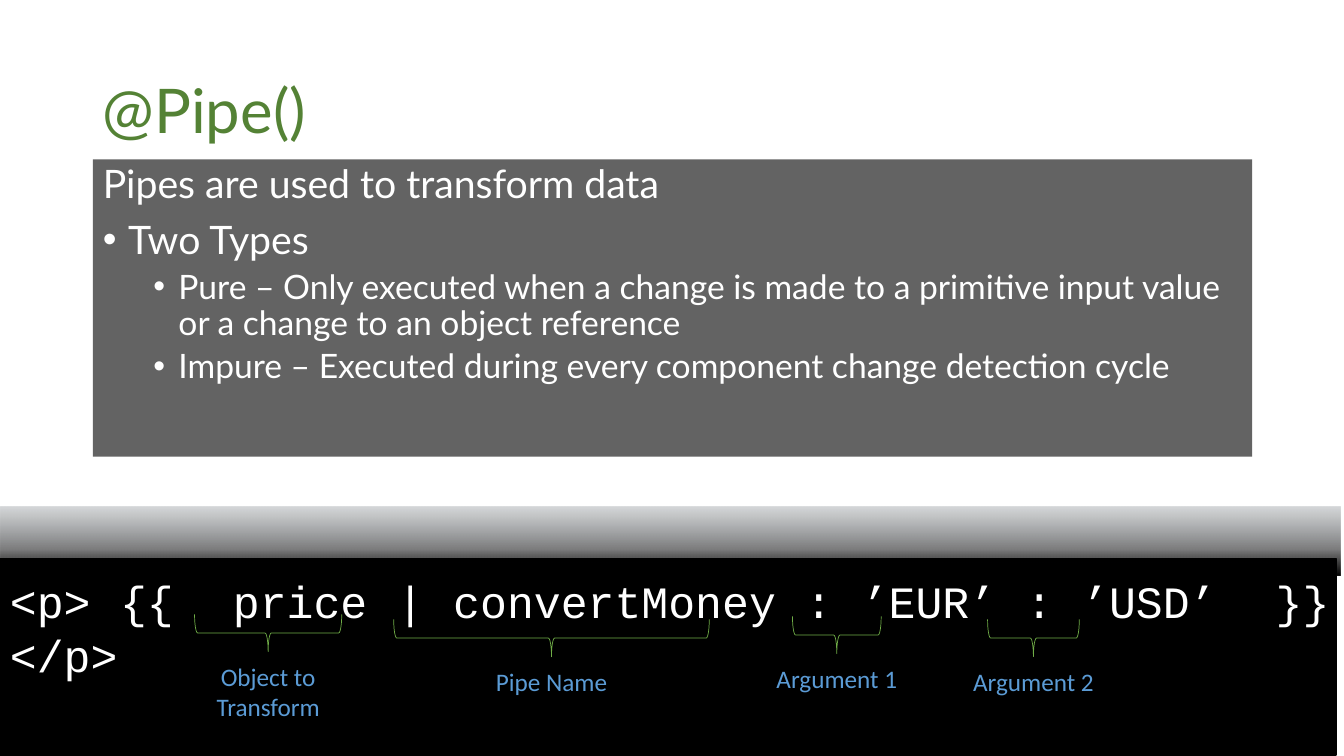
from lxml import etree
from pptx import Presentation
from pptx.dml.color import RGBColor
from pptx.enum.shapes import MSO_SHAPE
from pptx.enum.text import MSO_ANCHOR, MSO_AUTO_SIZE, PP_ALIGN
from pptx.oxml import parse_xml
from pptx.oxml.ns import qn
from pptx.util import Inches, Pt

RECTANGLE, BRACE = MSO_SHAPE.RECTANGLE, MSO_SHAPE.LEFT_BRACE
MIDDLE, TOP = MSO_ANCHOR.MIDDLE, MSO_ANCHOR.TOP
LEFT, CENTER, JUSTIFY = PP_ALIGN.LEFT, PP_ALIGN.CENTER, PP_ALIGN.JUSTIFY
NO_AUTOFIT, GROW = MSO_AUTO_SIZE.NONE, MSO_AUTO_SIZE.SHAPE_TO_FIT_TEXT

BLACK = RGBColor(0x00, 0x00, 0x00)
WHITE = RGBColor(0xFF, 0xFF, 0xFF)
TITLE_GREEN = RGBColor(0x54, 0x82, 0x35)
BRACE_GREEN = RGBColor(0x70, 0xAD, 0x47)
LABEL_BLUE = RGBColor(0x5B, 0x9B, 0xD5)
SHADE_DARK = RGBColor(0x02, 0x02, 0x03)
SHADE_LIGHT = RGBColor(0x1B, 0x25, 0x2D)


def write(para, text, font="Lato", size=28, color=WHITE, align=LEFT,
          line=1.0, before=0, margin=None, bullet=None):
    """Fill a paragraph; a margin (inches) also sets its bullet and indent."""
    para.text = text
    para.alignment = align
    para.line_spacing = line
    para.space_before = Pt(before)
    if margin is not None:
        props = para._p.get_or_add_pPr()
        props.set("marL", str(Inches(margin)))
        props.set("indent", str(Inches(-0.25 if bullet else 0)))
        if bullet:
            etree.SubElement(props, qn("a:buFont")).set("typeface", "Arial")
            etree.SubElement(props, qn("a:buChar")).set("char", bullet)
        else:
            etree.SubElement(props, qn("a:buNone"))
    span = para.runs[0]
    span.font.name = font
    span.font.size = Pt(size)
    span.font.color.rgb = color


deck = Presentation()
deck.slide_width, deck.slide_height = Inches(13.33), Inches(7.5)
page = deck.slides.add_slide(deck.slide_layouts[1])

# Title
title = page.shapes.title
title.left, title.top = Inches(0.92), Inches(0.4)
title.width, title.height = Inches(11.5), Inches(1.45)
title.text_frame.vertical_anchor = MIDDLE
title.text_frame.auto_size = NO_AUTOFIT
write(title.text_frame.paragraphs[0], "@Pipe()", size=44,
      color=TITLE_GREEN, line=0.9)

# Body on a translucent black panel
body = page.placeholders[1]
body.left, body.top = Inches(0.92), Inches(1.58)
body.width, body.height = Inches(11.5), Inches(2.95)
body.fill.solid()
body.fill.fore_color.rgb = BLACK
panel_color = body.fill._xPr.find(qn("a:solidFill"))[0]
etree.SubElement(panel_color, qn("a:alpha")).set("val", "61000")
body.text_frame.vertical_anchor = TOP
body.text_frame.auto_size = NO_AUTOFIT
points = [
    ("Pipes are used to transform data", 0, 28, 0, 0, None),
    ("Two Types", 0, 28, 10, 0.25, "•"),
    ("Pure – Only executed when a change is made to a primitive input value "
     "or a change to an object reference", 1, 24, 5, 0.75, "•"),
    ("Impure – Executed during every component change detection cycle",
     1, 24, 5, 0.75, "•"),
]
for index, (text, level, size, before, margin, bullet) in enumerate(points):
    frame = body.text_frame
    para = frame.add_paragraph() if index else frame.paragraphs[0]
    para.level = level
    write(para, text, size=size, line=0.9, before=before,
          margin=margin, bullet=bullet)

# Black code band
band = page.shapes.add_shape(RECTANGLE, 0, Inches(5.54), Inches(13.25), Inches(1.95))
band.shadow.inherit = False
band.fill.solid()
band.fill.fore_color.rgb = BLACK
band.line.color.rgb = BLACK
band.line.width = Pt(1)

# Shade that fades upwards from the band
shade = page.shapes.add_shape(RECTANGLE, Inches(0.01), Inches(5.03),
                              Inches(13.29), Inches(0.68))
shade.shadow.inherit = False
shade.line.fill.background()
shade.fill.gradient()
shade.fill.gradient_angle = 90
stops = shade.fill._xPr.find(qn("a:gradFill")).find(qn("a:gsLst"))
for stop in list(stops):
    stops.remove(stop)
for position, color, alpha in [(0, BLACK, 100), (38, SHADE_DARK, 52),
                               (100, SHADE_LIGHT, 18)]:
    stops.append(parse_xml(
        '<a:gs xmlns:a="http://schemas.openxmlformats.org/drawingml/2006/main" '
        f'pos="{position * 1000}"><a:srgbClr val="{color}">'
        f'<a:alpha val="{alpha * 1000}"/></a:srgbClr></a:gs>'))

# Code line
code = page.shapes.add_textbox(0, Inches(5.69), Inches(13.3), Inches(0.61))
code.text_frame.word_wrap = True
code.text_frame.margin_top = 0
write(code.text_frame.paragraphs[0],
      "<p> {{  price | convertMoney : ’EUR’ : ’USD’  }} </p>",
      font="Courier New", size=32, align=JUSTIFY)

# Braces under the code, each with a label centred below it
BRACE_DEPTH = 0.37
parts = [
    (["Object to", "Transform"], 2.66, 6.28, 1.46, 1.24),
    (["Pipe Name"], 5.47, 6.33, 3.13, 1.32),
    (["Argument 1"], 8.3, 6.3, 0.88, 1.41),
    (["Argument 2"], 10.25, 6.33, 0.91, 1.41),
]
for lines, center, middle, length, label_width in parts:
    brace = page.shapes.add_shape(
        BRACE, Inches(center - BRACE_DEPTH / 2), Inches(middle - length / 2),
        Inches(BRACE_DEPTH), Inches(length))
    brace.rotation = 270
    brace.shadow.inherit = False
    brace.fill.background()
    brace.line.color.rgb = BRACE_GREEN
    brace.line.width = Pt(0.5)

    label = page.shapes.add_textbox(
        Inches(center - label_width / 2), Inches(middle + 0.23),
        Inches(label_width), Inches(0.1 + 0.3 * len(lines)))
    label.text_frame.word_wrap = False
    label.text_frame.auto_size = GROW
    for index, text in enumerate(lines):
        frame = label.text_frame
        para = frame.add_paragraph() if index else frame.paragraphs[0]
        write(para, text, font="Calibri", size=18, color=LABEL_BLUE, align=CENTER)

deck.save("out.pptx")
